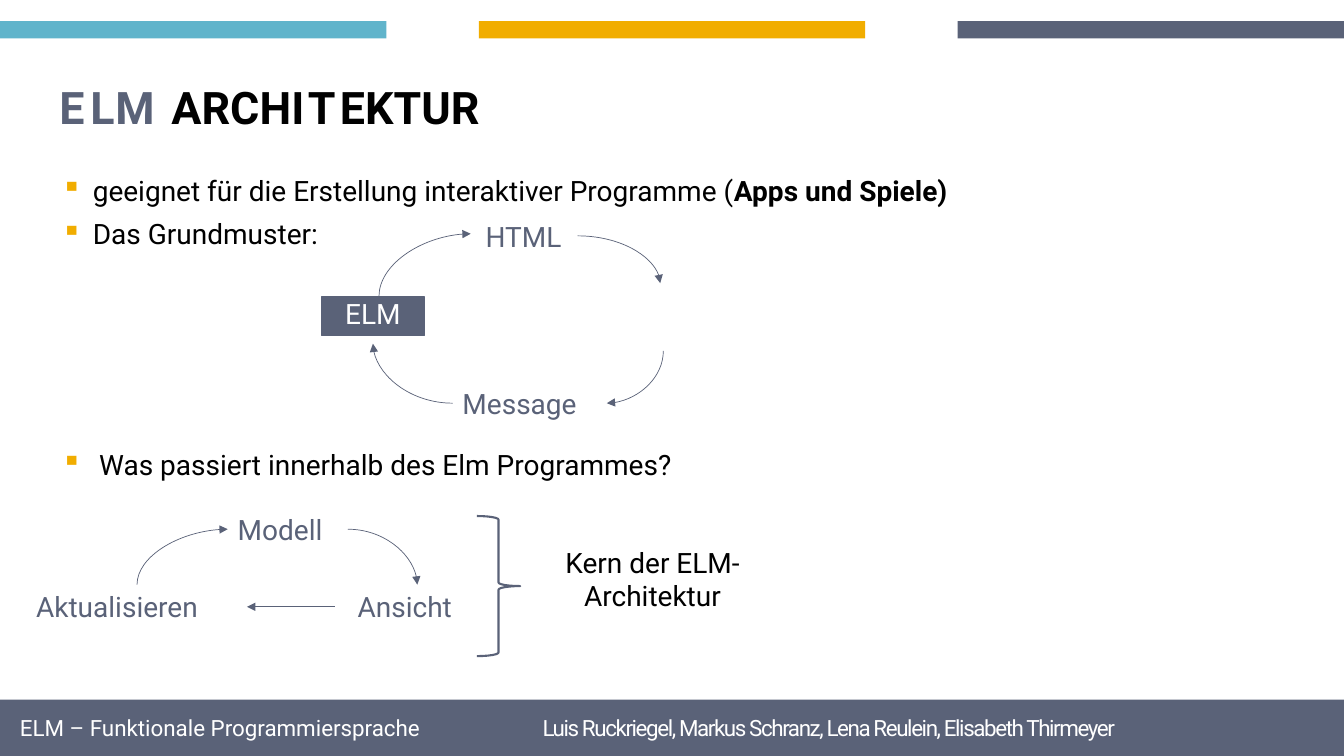
from dataclasses import dataclass

from lxml.etree import SubElement
from pptx import Presentation
from pptx.dml.color import RGBColor
from pptx.enum.shapes import MSO_CONNECTOR, MSO_SHAPE
from pptx.enum.text import MSO_ANCHOR, MSO_AUTO_SIZE, PP_ALIGN
from pptx.oxml.ns import qn
from pptx.util import Pt


@dataclass(frozen=True)
class Theme:
    """Colours, font and type sizes of the slide."""
    slate: RGBColor = RGBColor(0x5A, 0x62, 0x78)
    sky: RGBColor = RGBColor(0x60, 0xB4, 0xCB)
    amber: RGBColor = RGBColor(0xF1, 0xAD, 0x00)
    black: RGBColor = RGBColor(0, 0, 0)
    white: RGBColor = RGBColor(0xFF, 0xFF, 0xFF)
    font: str = "Roboto"
    title: int = 32
    body: int = 20
    footer: int = 16


THEME = Theme()


def apply_format(target, values):
    """Set each named attribute of the target."""
    for name, value in values.items():
        setattr(target, name, value)


def add_run(paragraph, text, color, size=THEME.body, bold=False, tracking=0):
    """Append a formatted run with letter spacing in points."""
    run = paragraph.add_run()
    run.text = text
    apply_format(run.font, {"name": THEME.font, "size": Pt(size), "bold": bold})
    run.font.color.rgb = color
    if tracking:
        run._r.get_or_add_rPr().set("spc", str(round(tracking * 100)))


def prepare_frame(shape, anchor=MSO_ANCHOR.TOP, align=PP_ALIGN.LEFT):
    """Give the text frame fixed size and wrapping, and return its first paragraph."""
    apply_format(shape.text_frame, {
        "word_wrap": True, "auto_size": MSO_AUTO_SIZE.NONE, "vertical_anchor": anchor})
    paragraph = shape.text_frame.paragraphs[0]
    paragraph.alignment = align
    return paragraph


def add_label(slide, box, text, color=THEME.slate, align=PP_ALIGN.LEFT):
    """Add a text box holding one run."""
    label = slide.shapes.add_textbox(*map(Pt, box))
    add_run(prepare_frame(label, align=align), text, color)
    return label


def add_block(slide, box, color):
    """Add a filled rectangle without outline."""
    block = slide.shapes.add_shape(MSO_SHAPE.RECTANGLE, *map(Pt, box))
    block.shadow.inherit = False
    block.fill.solid()
    block.fill.fore_color.rgb = color
    block.line.fill.background()
    return block


def add_arrow(slide, kind, start, end):
    """Add a thin connector with a triangle at its end."""
    arrow = slide.shapes.add_connector(kind, *map(Pt, (*start, *end)))
    arrow.line.color.rgb = THEME.slate
    arrow.line.width = Pt(0.5)
    SubElement(arrow.line._get_or_add_ln(), qn("a:tailEnd"), type="triangle")
    SubElement(arrow._element.spPr, qn("a:effectLst"))
    return arrow


def add_curve(slide, start, end, vertical_first=False):
    """Add a quarter-turn arrow that leaves its start sideways or vertically."""
    if vertical_first:
        (x1, y1), (x2, y2) = start, end
        mid_x, mid_y = (x1 + x2) / 2, (y1 + y2) / 2
        half_x, half_y = (y2 - y1) / 2, (x1 - x2) / 2
        start = (mid_x - half_x, mid_y - half_y)
        end = (mid_x + half_x, mid_y + half_y)
    curve = add_arrow(slide, MSO_CONNECTOR.CURVE, start, end)
    properties = curve._element.spPr
    properties.find(qn("a:prstGeom")).set("prst", "curvedConnector2")
    if vertical_first:
        properties.find(qn("a:xfrm")).set("rot", "5400000")


def add_frame(slide):
    """Add the top stripes and the footer band."""
    for index, color in enumerate((THEME.sky, THEME.amber, THEME.slate)):
        add_block(slide, (index * 342, 15.2, 276, 12.2), color)
    add_block(slide, (0, 499.7, 960, 40.3), THEME.slate)
    footer = slide.shapes.add_textbox(*map(Pt, (7.2, 506.9, 947.5, 26.6)))
    paragraph = prepare_frame(footer)
    tabs = SubElement(paragraph._p.get_or_add_pPr(), qn("a:tabLst"))
    SubElement(tabs, qn("a:tab"), pos=str(Pt(373.3)), algn="l")
    add_run(paragraph, "ELM – Funktionale Programmiersprache\t", THEME.white, THEME.footer)
    add_run(paragraph, "Luis Ruckriegel, Markus Schranz, Lena Reulein, Elisabeth Thirmeyer",
            THEME.white, THEME.footer, tracking=-1)


def add_title(slide):
    """Place and format the title."""
    title = slide.shapes.title
    apply_format(title, dict(zip(("left", "top", "width", "height"),
                                 map(Pt, (35.3, 53.6, 420, 46)))))
    paragraph = prepare_frame(title)
    for text, color, tracking in (
            ("E", THEME.slate, 4), ("L", THEME.slate, 0.5), ("M ", THEME.slate, 2),
            ("ARCH", THEME.black, 0), ("IT", THEME.black, 3), ("EKTUR", THEME.black, 0)):
        add_run(paragraph, text, color, THEME.title, True, tracking)


def add_bullets(slide):
    """Add the three bullet points around the first diagram."""
    bullets = slide.shapes.add_textbox(*map(Pt, (36.7, 113, 799.2, 233.3)))
    paragraph = prepare_frame(bullets)
    points = (
        ("geeignet für die Erstellung interaktiver Programme (", "Apps und Spiele)", 22.5, 0),
        ("Das Grundmuster:", "", 22.5, 0),
        ("Was passiert innerhalb des Elm Programmes?", "", 27, 133.5))
    for index, (text, emphasis, indent, gap) in enumerate(points):
        if index:
            paragraph = bullets.text_frame.add_paragraph()
        apply_format(paragraph, {"line_spacing": 1.3, "space_before": Pt(gap)})
        properties = paragraph._p.get_or_add_pPr()
        properties.set("marL", str(Pt(indent)))
        properties.set("indent", str(-Pt(indent)))
        marker_color = SubElement(properties, qn("a:buClr"))
        SubElement(marker_color, qn("a:srgbClr"), val=str(THEME.amber))
        SubElement(properties, qn("a:buChar"), char="▪")
        add_run(paragraph, text, THEME.black)
        if emphasis:
            add_run(paragraph, emphasis, THEME.black, bold=True)


def add_pattern_cycle(slide):
    """Draw the cycle of ELM, HTML and Message."""
    add_curve(slide, (270.7, 211.7), (336.2, 167), vertical_first=True)
    add_curve(slide, (412.6, 168.5), (471.6, 202.3))
    add_curve(slide, (473.8, 250.6), (433.4, 288), vertical_first=True)
    add_curve(slide, (323.3, 288), (266.4, 245.5))
    add_label(slide, (323.3, 272.2, 110.2, 31.7), "Message")
    add_label(slide, (339.8, 153.4, 76.3, 31.7), "HTML")
    elm = add_block(slide, (229.7, 212.1, 73.4, 27.4), THEME.slate)
    elm.line.color.rgb = THEME.slate
    elm.line.width = Pt(1)
    add_run(prepare_frame(elm, MSO_ANCHOR.BOTTOM, PP_ALIGN.CENTER), "ELM", THEME.white)


def add_core_cycle(slide):
    """Draw the cycle of Modell, Ansicht and Aktualisieren with its brace."""
    add_label(slide, (162.7, 362.2, 85.7, 31.7), "Modell")
    add_label(slide, (248.4, 417.6, 98.6, 31.7), "Ansicht")
    update = add_label(slide, (18.7, 417.6, 157.7, 31.7), "Aktualisieren")
    add_curve(slide, (248.4, 378), (298.1, 417.6))
    add_curve(slide, (97.9, 417.6), (162.7, 378), vertical_first=True)
    to_update = add_arrow(slide, MSO_CONNECTOR.STRAIGHT, (239, 433.45), (176.4, 433.45))
    to_update.end_connect(update, 3)
    brace = slide.shapes.add_shape(MSO_SHAPE.RIGHT_BRACE, *map(Pt, (340.6, 368.6, 31, 100.1)))
    brace.shadow.inherit = False
    brace.fill.background()
    brace.line.color.rgb = THEME.slate
    brace.line.width = Pt(1.5)
    add_label(slide, (372.2, 385.9, 187.9, 55.4), "Kern der ELM- Architektur",
              THEME.black, PP_ALIGN.CENTER)


def main():
    """Build and save the slide."""
    presentation = Presentation()
    apply_format(presentation, {"slide_width": Pt(960), "slide_height": Pt(540)})
    slide = presentation.slides.add_slide(presentation.slide_layouts[5])
    add_frame(slide)
    add_title(slide)
    add_bullets(slide)
    add_pattern_cycle(slide)
    add_core_cycle(slide)
    presentation.save("out.pptx")


if __name__ == "__main__":
    main()
